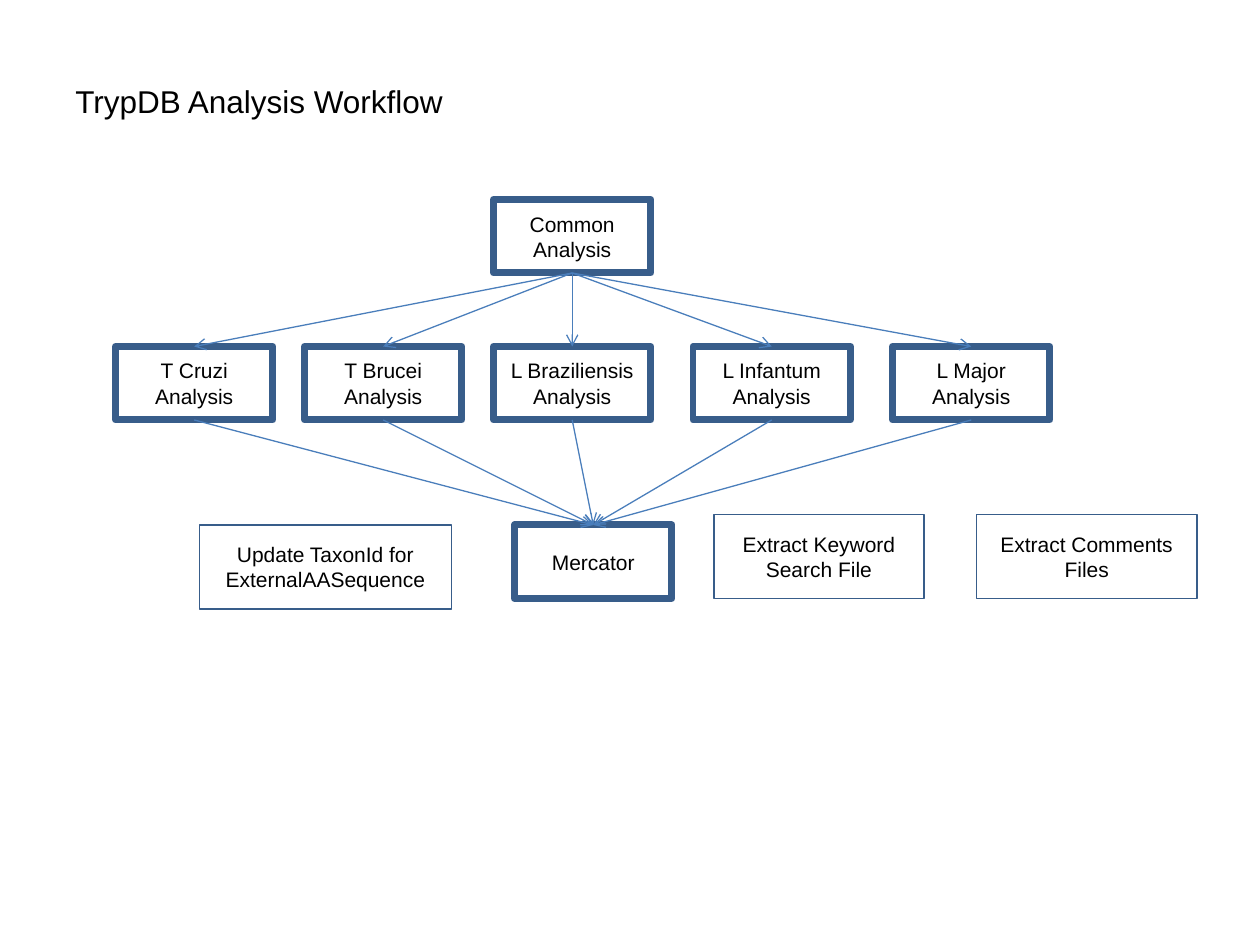
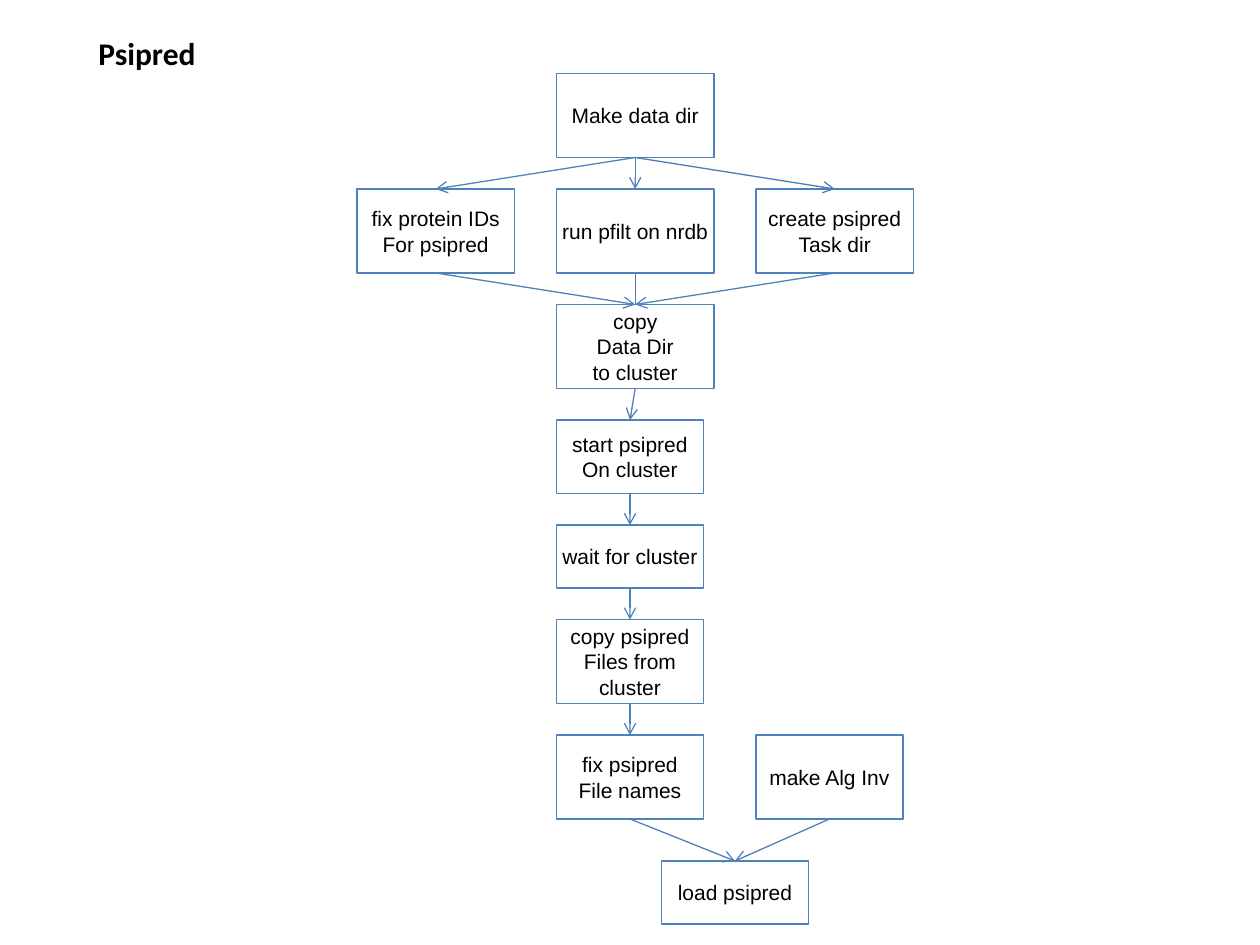
from dataclasses import dataclass
from typing import NamedTuple

from lxml.etree import SubElement
from pptx import Presentation
from pptx.dml.color import RGBColor as RGB
from pptx.enum.shapes import MSO_CONNECTOR as CONN, MSO_SHAPE as SHAPE
from pptx.enum.text import MSO_ANCHOR as ANCHOR, PP_ALIGN as ALIGN
from pptx.oxml.ns import qn
from pptx.util import Inches, Pt

WIDTH, HEIGHT = Inches(10), Inches(7.5)
COLS, ROWS = 120, 90
TOP, BOTTOM = 0, 2  # connection sites of a rectangle


@dataclass(frozen=True)
class Theme:
    text: RGB = RGB(0x00, 0x00, 0x00)
    paper: RGB = RGB(0xFF, 0xFF, 0xFF)
    navy: RGB = RGB(0x38, 0x5D, 0x8A)
    blue: RGB = RGB(0x4F, 0x81, 0xBD)
    mid_blue: RGB = RGB(0x4A, 0x7E, 0xBB)
    body_font: str = "Arial"
    title_font: str = "Calibri"
    title_size: float = 18
    body_size: float = 12
    arrow_width: float = 0.75


THEME = Theme()


class BoxStyle(NamedTuple):
    line: RGB
    weight: float
    wrap: bool = True
    filled: bool = False


GROUP = BoxStyle(THEME.navy, 4)
SINGLE = BoxStyle(THEME.navy, 1, filled=True)
STEP = BoxStyle(THEME.blue, 0.75, wrap=False)


class Area(NamedTuple):
    """Position and size in grid columns and rows."""
    col: float
    row: float
    cols: float
    rows: float

    def emu(self) -> tuple[int, int, int, int]:
        x, y = WIDTH / COLS, HEIGHT / ROWS
        return (round(self.col * x), round(self.row * y),
                round(self.cols * x), round(self.rows * y))


class Box(NamedTuple):
    key: str
    text: str
    area: Area
    style: BoxStyle


class Link(NamedTuple):
    start: str
    end: str
    color: RGB = THEME.blue
    arrow: bool = True


def write(sp, text: str, size: float, font: str, align: ALIGN,
          bold: bool = False, wrap: bool = True) -> None:
    tf = sp.text_frame
    tf.text = text
    tf.word_wrap = wrap
    tf.vertical_anchor = ANCHOR.MIDDLE
    for p in tf.paragraphs:
        p.alignment = align
        for r in p.runs:
            r.font.size = Pt(size)
            r.font.name = font
            r.font.bold = bold
            r.font.color.rgb = THEME.text


def add_title(s, text: str, area: Area, font: str, align: ALIGN,
              bold: bool = False) -> None:
    sp = s.shapes.add_textbox(*area.emu())
    write(sp, text, THEME.title_size, font, align, bold)


def add_box(s, box: Box):
    sp = s.shapes.add_shape(SHAPE.RECTANGLE, *box.area.emu())
    sp.shadow.inherit = False
    if box.style.filled:
        sp.fill.solid()
        sp.fill.fore_color.rgb = THEME.paper
    else:
        sp.fill.background()
    sp.line.color.rgb = box.style.line
    sp.line.width = Pt(box.style.weight)
    write(sp, box.text, THEME.body_size, THEME.body_font, ALIGN.CENTER,
          wrap=box.style.wrap)
    return sp


def add_link(s, link: Link, shapes: dict) -> None:
    """Join the bottom of one box to the top of the next."""
    c = s.shapes.add_connector(CONN.STRAIGHT, 0, 0, 0, 0)
    c.begin_connect(shapes[link.start], BOTTOM)
    c.end_connect(shapes[link.end], TOP)
    c.line.color.rgb = link.color
    c.line.width = Pt(THEME.arrow_width)
    if link.arrow:
        SubElement(c.line._get_or_add_ln(), qn("a:tailEnd"), type="arrow")
    SubElement(c._element.spPr, qn("a:effectLst"))


def add_flow(s, boxes: list[Box], links: list[Link]) -> None:
    shapes = {box.key: add_box(s, box) for box in boxes}
    for link in links:
        add_link(s, link, shapes)


def build_workflow(s) -> None:
    add_title(s, "TrypDB Analysis Workflow", Area(6, 7.2, 37.7, 4.8),
              THEME.body_font, ALIGN.LEFT)
    species = {"T Cruzi": 11, "T Brucei": 29, "L Braziliensis": 47,
               "L Infantum": 66, "L Major": 85}
    boxes = [Box("common", "Common Analysis", Area(47, 19, 15, 7), GROUP)]
    boxes += [Box(name, f"{name}\nAnalysis", Area(col, 33, 15, 7), GROUP)
              for name, col in species.items()]
    boxes += [
        Box("mercator", "Mercator", Area(49, 50, 15, 7), GROUP),
        Box("taxon", "Update TaxonId for ExternalAASequence",
            Area(19, 50, 24, 8), SINGLE),
        Box("keyword", "Extract Keyword Search File",
            Area(68, 49, 20, 8), SINGLE),
        Box("comments", "Extract Comments Files",
            Area(93, 49, 21, 8), SINGLE),
    ]
    links = [Link("common", name, THEME.mid_blue) for name in species]
    links += [Link(name, "mercator", THEME.mid_blue) for name in species]
    add_flow(s, boxes, links)


def build_psipred(s) -> None:
    add_title(s, "Psipred", Area(3, 3, 22, 4), THEME.title_font,
              ALIGN.CENTER, bold=True)
    left, middle, right = 34, 53, 72
    wide, narrow = 15, 14
    steps = [
        ("make", "Make data dir", middle, 7, wide, 8),
        ("ids", "fix protein IDs\nFor psipred", left, 18, wide, 8),
        ("pfilt", "run pfilt on nrdb", middle, 18, wide, 8),
        ("task", "create psipred\nTask dir", right, 18, wide, 8),
        ("copy", "copy\nData Dir\nto cluster", middle, 29, wide, 8),
        ("start", "start psipred\nOn cluster", middle, 40, narrow, 7),
        ("wait", "wait for cluster", middle, 50, narrow, 6),
        ("fetch", "copy psipred\nFiles from\ncluster", middle, 59, narrow, 8),
        ("names", "fix psipred\nFile names", middle, 70, narrow, 8),
        ("alg", "make Alg Inv", right, 70, narrow, 8),
        ("load", "load psipred", 63, 82, narrow, 6),
    ]
    links = [
        Link("make", "ids"),
        Link("make", "pfilt"),
        Link("make", "task", THEME.mid_blue),
        Link("ids", "copy"),
        Link("pfilt", "copy", THEME.mid_blue, arrow=False),
        Link("task", "copy"),
        Link("copy", "start", THEME.mid_blue),
        Link("start", "wait"),
        Link("wait", "fetch"),
        Link("fetch", "names"),
        Link("names", "load"),
        Link("alg", "load"),
    ]
    add_flow(s, [Box(key, text, Area(*area), STEP)
                 for key, text, *area in steps], links)


def main() -> None:
    prs = Presentation()
    prs.slide_width, prs.slide_height = WIDTH, HEIGHT
    blank = prs.slide_layouts[6]
    for build in (build_workflow, build_psipred):
        build(prs.slides.add_slide(blank))
    prs.save("out.pptx")


if __name__ == "__main__":
    main()
